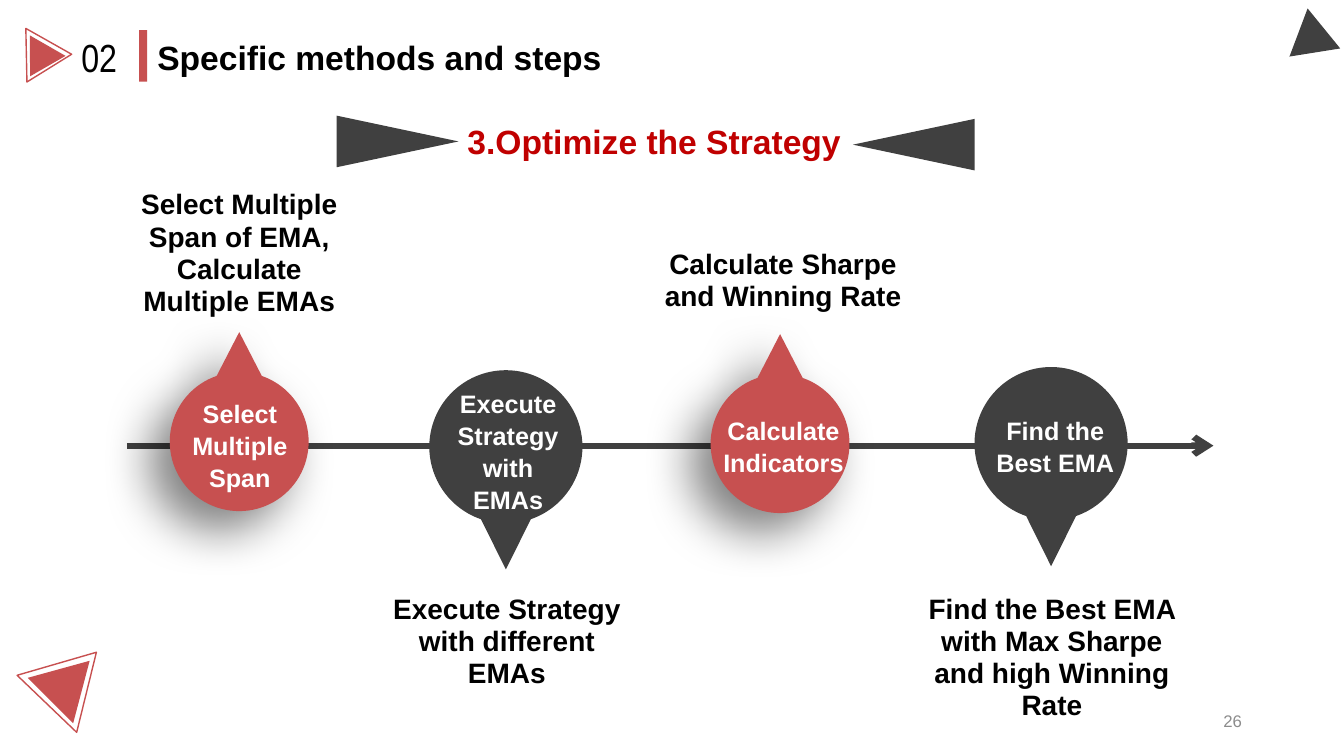
"""Build the strategy optimisation timeline slide."""
import math
from dataclasses import dataclass

from lxml import etree
from pptx import Presentation
from pptx import util as u
from pptx.dml.color import RGBColor
from pptx.enum import shapes, text
from pptx.oxml.ns import qn


@dataclass(frozen=True)
class Theme:
    """Colours, fonts and type sizes of the slide."""
    red: str = "C75050"
    dark: str = "404040"
    accent: str = "C00000"
    black: str = "000000"
    white: str = "FFFFFF"
    grey: str = "8C8C8C"
    font: str = "Arial"
    narrow: str = "Arial Narrow"
    number: int = 28
    title: int = 24
    caption: int = 20
    label: int = 18
    footer: int = 12
    leading: u.Pt = u.Pt(23)


def rgb(color):
    """Return the colour object for a hex string."""
    return RGBColor.from_string(color)


def write(tf, words, size, color, font=Theme.font, bold=True, align=text.PP_ALIGN.LEFT,
          anchor=text.MSO_ANCHOR.TOP, spacing=None, fit=text.MSO_AUTO_SIZE.SHAPE_TO_FIT_TEXT):
    """Write one formatted paragraph into a text frame."""
    tf.word_wrap = True
    tf.auto_size = fit
    tf.vertical_anchor = anchor
    p = tf.paragraphs[0]
    p.alignment = align
    if spacing:
        p.line_spacing = spacing
    r = p.add_run()
    r.text = words
    r.font.name, r.font.size, r.font.bold = font, u.Pt(size), bold
    r.font.color.rgb = rgb(color)


class Deck:
    """Hold the theme and current slide, and draw each kind of element."""

    def __init__(self, prs, theme):
        """Add a title-only slide to the presentation."""
        self.theme = theme
        self.s = prs.slides.add_slide(prs.slide_layouts[5])

    def title(self, words, x, y, w, h):
        """Place and format the title placeholder."""
        sp = self.s.shapes.title
        sp.left, sp.top, sp.width, sp.height = map(u.Cm, (x, y, w, h))
        write(sp.text_frame, words, self.theme.title, self.theme.black)

    def text(self, words, x, y, w, h, size, color, **style):
        """Add a text box."""
        sp = self.s.shapes.add_textbox(*map(u.Cm, (x, y, w, h)))
        write(sp.text_frame, words, size, color, **style)

    def centred(self, words, x, y, w, h, size, color):
        """Add a centred text box with the fixed leading."""
        self.text(words, x, y, w, h, size, color, align=text.PP_ALIGN.CENTER,
                  spacing=self.theme.leading)

    def paint(self, sp, color, filled=True):
        """Fill a shape, or give it a thin outline only."""
        sp.shadow.inherit = False
        if filled:
            sp.fill.solid()
            sp.fill.fore_color.rgb = rgb(color)
            sp.line.fill.background()
        else:
            sp.fill.background()
            sp.line.color.rgb = rgb(color)
            sp.line.width = u.Pt(1)

    def shape(self, kind, x, y, w, h, color, rotation=0, filled=True):
        """Add a preset shape."""
        sp = self.s.shapes.add_shape(kind, *map(u.Cm, (x, y, w, h)))
        sp.rotation = rotation
        self.paint(sp, color, filled)

    def arrow(self, x1, x2, y, color):
        """Add the horizontal timeline arrow."""
        ln = self.s.shapes.add_connector(shapes.MSO_CONNECTOR.STRAIGHT,
                                         *map(u.Cm, (x1, y, x2, y)))
        ln.line.color.rgb = rgb(color)
        ln.line.width = u.Pt(4.5)
        pr = ln.line._get_or_add_ln()
        etree.SubElement(pr, qn("a:tailEnd"), type="arrow")
        etree.SubElement(ln._element.spPr, qn("a:effectLst"))

    def pin(self, cx, cy, radius, reach, color, hole=0):
        """Draw a round pin whose tip lies reach below the centre, or above if negative."""
        start = 90 if reach > 0 else 270
        arcs = []

        def ring(r, stops):
            """Return the points at the stops and note the arcs between them."""
            arcs.extend((r, start + a, b - a) for a, b in zip(stops, stops[1:]))
            angles = [math.radians(start + a) for a in stops]
            return [(u.Cm(cx + r * math.cos(a)), u.Cm(cy + r * math.sin(a))) for a in angles]

        fb = self.s.shapes.build_freeform(u.Cm(cx), u.Cm(cy + reach))
        fb.add_line_segments(ring(radius, (19, 90, 180, 270, 341)))
        if hole:
            rim = ring(hole, (0, 90, 180, 270, 360))
            fb.move_to(*rim[0])
            fb.add_line_segments(rim[1:])
        sp = fb.convert_to_shape()
        sides = list(sp._element.iter(qn("a:lnTo")))[1:]
        for side, (r, angle, sweep) in zip(sides, arcs):
            size = str(u.Cm(r))
            curve = etree.Element(qn("a:arcTo"), wR=size, hR=size,
                                  stAng=str(angle % 360 * 60000), swAng=str(sweep * 60000))
            side.getparent().replace(side, curve)
        self.paint(sp, color)
        return sp

    def shade(self, sp):
        """Cast a soft shadow to the lower left."""
        effects = sp._element.spPr.find(qn("a:effectLst"))
        shadow = etree.SubElement(effects, qn("a:outerShdw"), blurRad=str(u.Pt(35)),
                                  dist=str(u.Pt(20)), dir="8100000", algn="tr",
                                  rotWithShape="0")
        color = etree.SubElement(shadow, qn("a:srgbClr"), val=self.theme.black)
        etree.SubElement(color, qn("a:alpha"), val="50000")


def main():
    """Build and save the slide."""
    prs = Presentation()
    prs.slide_width, prs.slide_height = u.Cm(33.87), u.Cm(19.05)
    t = Theme()
    d = Deck(prs, t)

    d.arrow(3.2, 30.58, 11.23, t.dark)
    for cx, cy in ((6.03, 11.13), (19.66, 11.18)):
        d.shade(d.pin(cx, cy, 1.75, -2.76, t.red))
    for cx, cy in ((12.75, 11.26), (26.49, 11.18)):
        d.pin(cx, cy, 1.93, 3.09, t.dark, hole=1.74)
        d.pin(cx, cy, 1.85, 2.88, t.dark)

    for words, *box in (
        ("Select Multiple Span of EMA, Calculate Multiple EMAs", 3.02, 4.62, 6.02, 3.53),
        ("Execute Strategy with different EMAs", 9.5, 14.81, 6.55, 2.72),
        ("Calculate Sharpe and Winning Rate", 16.33, 6.12, 6.81, 1.9),
        ("Find the Best EMA with Max Sharpe and high Winning Rate", 22.94, 14.81, 7.14, 3.53),
    ):
        d.centred(words, *box, t.caption, t.black)
    for words, *box in (
        ("Select Multiple Span", 4.29, 9.86, 3.51, 2.72),
        ("Execute Strategy with EMAs", 11.05, 9.6, 3.51, 3.53),
        ("Calculate Indicators", 17.75, 10.29, 3.99, 1.9),
        ("Find the Best EMA", 24.84, 10.29, 3.51, 1.9),
    ):
        d.centred(words, *box, t.label, t.white)

    d.shape(shapes.MSO_SHAPE.RECTANGLE, 3.51, 0.76, 0.2, 1.3, t.red)
    for x, y, w, h, color, rotation, filled in (
        (0.56, 0.81, 1.35, 1.14, t.red, 88.8, False),
        (0.46, 1.09, 1.04, 0.89, t.red, 209.8, True),
        (0.64, 16.69, 2.08, 1.8, t.red, 163.8, False),
        (0.56, 16.56, 1.63, 1.4, t.red, 284.8, True),
        (32.28, 0.51, 1.3, 1.12, t.dark, 230.8, True),
        (22.38, 2.11, 1.3, 3.07, t.dark, 270, True),
        (9.37, 2.03, 1.3, 3.07, t.dark, 90, True),
    ):
        d.shape(shapes.MSO_SHAPE.ISOSCELES_TRIANGLE, x, y, w, h, color, rotation, filled)

    d.text("02", 1.8, 0.71, 1.9, 1.45, t.number, t.black, font=t.narrow, bold=False)
    d.title("Specific methods and steps", 3.71, 0.79, 17.65, 1.27)
    d.text("3.Optimize the Strategy", 11.53, 2.41, 10.57, 1.8, t.title, t.accent,
           anchor=text.MSO_ANCHOR.MIDDLE, spacing=1.5)
    d.text("26", 23.93, 17.65, 7.62, 1.02, t.footer, t.grey, bold=False,
           align=text.PP_ALIGN.RIGHT, anchor=text.MSO_ANCHOR.MIDDLE,
           fit=text.MSO_AUTO_SIZE.NONE)
    prs.save("out.pptx")


if __name__ == "__main__":
    main()
